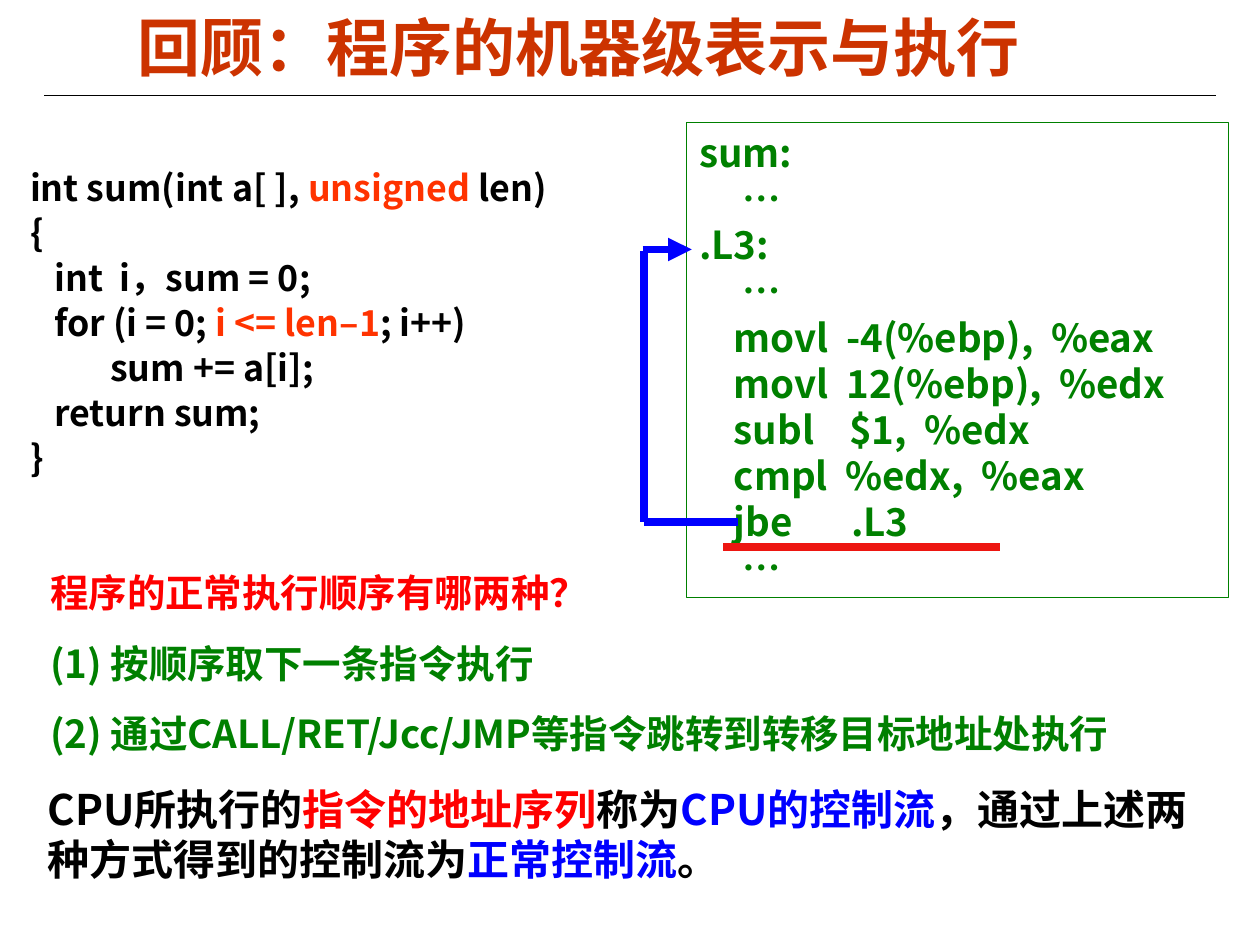
from typing import NamedTuple

from lxml.etree import SubElement
from pptx import Presentation
from pptx.dml.color import RGBColor
from pptx.enum.shapes import MSO_CONNECTOR, MSO_SHAPE
from pptx.enum.text import MSO_ANCHOR, PP_ALIGN
from pptx.oxml.ns import qn
from pptx.util import Inches, Pt

SANS = "Noto Sans CJK SC"
BLACK, GREEN, RED, BLUE, ORANGE = "000000", "008000", "FF0000", "0000FF", "FF3300"


class Box(NamedTuple):
    left: float
    top: float
    width: float
    height: float


class Line(NamedTuple):
    start: tuple[float, float]
    end: tuple[float, float]
    color: str = BLUE
    width: float = 4.5
    arrow: bool = False


class Part(NamedTuple):
    text: str
    color: str


CODE = [
    ["int sum(int a[ ], ", Part("unsigned", ORANGE), " len)"],
    ["{"],
    ["   int  i，sum = 0;"],
    ["   for (i = 0; ", Part("i <= len–1", ORANGE), "; i++)"],
    ["\t    sum += a[i];"],
    ["   return sum;"],
    ["}"],
]
ASM = [
    "sum:",
    "     …",
    ".L3:",
    "     …",
    "    movl  -4(%ebp),  %eax",
    "    movl  12(%ebp),  %edx",
    "    subl    $1,  %edx",
    "    cmpl  %edx,  %eax",
    "    jbe\t   .L3",
    "     …",
]
ORDER = [
    [Part("程序的正常执行顺序有哪两种？", RED)],
    ["(1) 按顺序取下一条指令执行"],
    ["(2) 通过CALL/RET/Jcc/JMP等指令跳转到转移目标地址处执行"],
]
FLOW = [[
    "CPU所执行的", Part("指令的地址序列", RED), "称为", Part("CPU的控制流", BLUE),
    "，通过上述两种方式得到的控制流为", Part("正常控制流", BLUE), "。",
]]
LINES = [
    Line((0.35, 0.76), (9.65, 0.76), BLACK, 0.75),
    Line((5.74, 4.34), (7.94, 4.34), "ED1611"),
    Line((5.86, 4.14), (5.11, 4.14)),
    Line((5.11, 1.99), (5.11, 4.14)),
    Line((5.1, 1.98), (5.49, 1.98), arrow=True),
]


def paint(code: str) -> RGBColor:
    return RGBColor.from_string(code)


def write(slide, box: Box, rows: list, *, size: float, color: str = BLACK,
          font: str = SANS, align=PP_ALIGN.LEFT, anchor=MSO_ANCHOR.TOP,
          gap: float = 0, hang: float = 0, space: float | None = None,
          edge: str | None = None) -> None:
    shape = slide.shapes.add_shape(MSO_SHAPE.RECTANGLE, *map(Inches, box)) if edge \
        else slide.shapes.add_textbox(*map(Inches, box))
    if edge:
        shape.shadow.inherit = False
        shape.fill.background()
        shape.line.color.rgb = paint(edge)
        shape.line.width = Pt(0.75)
    frame = shape.text_frame
    frame.word_wrap = True
    frame.vertical_anchor = anchor
    for i, row in enumerate(rows):
        para = frame.add_paragraph() if i else frame.paragraphs[0]
        para.alignment = align
        if i and gap:
            para.space_before = Pt(gap)
        if space:
            para.line_spacing = space
        if hang:
            props = para._p.get_or_add_pPr()
            props.set("marL", str(Inches(hang)))
            props.set("indent", str(-Inches(hang)))
        for item in row:
            part = item if isinstance(item, Part) else Part(item, color)
            run = para.add_run()
            run.text = part.text
            run.font.size = Pt(size)
            run.font.bold = True
            run.font.name = font
            run.font.color.rgb = paint(part.color)
            SubElement(run._r.get_or_add_rPr(), qn("a:ea"), typeface=SANS)


def draw(slide, line: Line) -> None:
    ends = map(Inches, line.start + line.end)
    shape = slide.shapes.add_connector(MSO_CONNECTOR.STRAIGHT, *ends)
    shape.line.color.rgb = paint(line.color)
    shape.line.width = Pt(line.width)
    if line.arrow:
        SubElement(shape.line._get_or_add_ln(), qn("a:tailEnd"), type="triangle")
    SubElement(shape._element.spPr, qn("a:effectLst"))


def main() -> None:
    deck = Presentation()
    deck.slide_width, deck.slide_height = Inches(10), Inches(7.5)
    slide = deck.slides.add_slide(deck.slide_layouts[6])
    write(slide, Box(0.09, 0.11, 9, 0.52), [["回顾：程序的机器级表示与执行"]],
          size=36, color="CC3300", font="Arial", align=PP_ALIGN.CENTER,
          anchor=MSO_ANCHOR.MIDDLE)
    write(slide, Box(0.14, 1.25, 5.55, 2.62), CODE, size=20.4, hang=0.38, space=1.05)
    write(slide, Box(5.45, 0.97, 4.3, 3.77), [[row] for row in ASM], size=22,
          color=GREEN, anchor=MSO_ANCHOR.MIDDLE, edge=GREEN)
    write(slide, Box(0.3, 4.47, 9.08, 1.58), ORDER, size=22, color=GREEN, gap=13.8)
    write(slide, Box(0.28, 6.17, 9.39, 0.9), FLOW, size=24)
    for line in LINES:
        draw(slide, line)
    deck.save("out.pptx")


if __name__ == "__main__":
    main()
